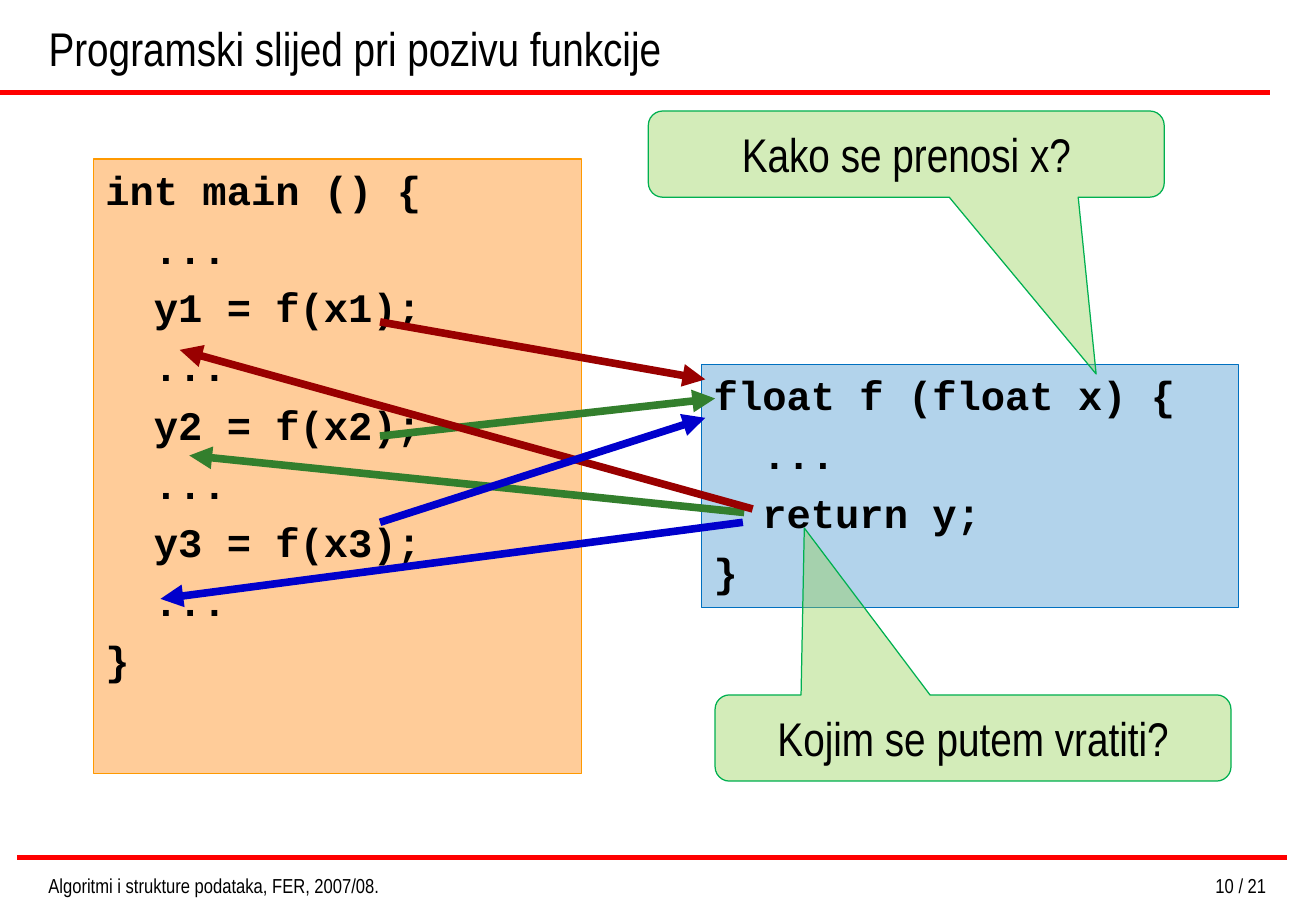
from dataclasses import dataclass

from lxml import etree
from pptx import Presentation
from pptx.dml.color import RGBColor
from pptx.enum.shapes import MSO_CONNECTOR, MSO_SHAPE
from pptx.enum.text import MSO_ANCHOR, MSO_AUTO_SIZE, PP_ALIGN
from pptx.oxml.ns import qn
from pptx.util import Pt

LEFT, CENTER, RIGHT = PP_ALIGN.LEFT, PP_ALIGN.CENTER, PP_ALIGN.RIGHT
TOP, MIDDLE, BOTTOM = MSO_ANCHOR.TOP, MSO_ANCHOR.MIDDLE, MSO_ANCHOR.BOTTOM
NO_FIT = MSO_AUTO_SIZE.NONE
STRAIGHT = MSO_CONNECTOR.STRAIGHT
RECT, CALLOUT = MSO_SHAPE.RECTANGLE, MSO_SHAPE.ROUNDED_RECTANGULAR_CALLOUT


@dataclass(frozen=True)
class Theme:
    sans: str = "Arial Narrow"
    mono: str = "Courier New"
    large: float = 28
    code: float = 24
    small: float = 12
    ink: str = "000000"
    rule: str = "FF0000"
    peach: str = "FFCC99"
    orange: str = "FF9900"
    sky: str = "0070C0"
    lime: str = "92D050"
    leaf: str = "00B050"
    first: str = "990000"
    second: str = "337F2D"
    third: str = "0000CC"


@dataclass(frozen=True)
class Panel:
    """A filled shape with text; box is left, top, width, height."""
    kind: MSO_SHAPE
    box: tuple[float, float, float, float]
    fill: str
    edge: str
    text: str
    alpha: int = 100
    tip: tuple[float, ...] = ()


@dataclass(frozen=True)
class Line:
    start: tuple[float, float]
    end: tuple[float, float]
    color: str
    width: float = 4.5
    head: bool = True


THEME = Theme()

MAIN = """int main () {
  ...
  y1 = f(x1);
  ...
  y2 = f(x2);
  ...
  y3 = f(x3);
  ...
}"""
FUNC = """float f (float x) {
  ...
  return y;
}"""

RULES = [
    Line((0, 54.7), (753.1, 54.7), THEME.rule, 3, False),
    Line((10.1, 508.3), (763.2, 508.3), THEME.rule, 3, False),
]
CODES = [
    Panel(RECT, (55.4, 94.3, 289.4, 364.3), THEME.peach, THEME.orange, MAIN),
    Panel(RECT, (416.2, 216, 318.2, 144), THEME.sky, THEME.sky, FUNC, 30),
]
ASKS = [
    Panel(CALLOUT, (384.5, 65.8, 306, 51.1), THEME.lime, THEME.leaf,
          "Kako se prenosi x?", 40, (0.368, 2.551, 0.167)),
    Panel(CALLOUT, (424.1, 411.9, 306, 51.1), THEME.lime, THEME.leaf,
          "Kojim se putem vratiti?", 40, (-0.327, -2.436, 0.167)),
]
ARROWS = [
    Line((225.4, 190.8), (418.3, 224.9), THEME.first),
    Line((441.4, 303.8), (112.3, 270), THEME.second),
    Line((440.6, 309.6), (95.2, 355), THEME.third),
    Line((225.4, 258.5), (424.1, 236.2), THEME.second),
    Line((446.4, 301.7), (106.6, 207.4), THEME.first),
    Line((225.4, 309.6), (418.3, 247.7), THEME.third),
]


def paint(hue: str) -> RGBColor:
    return RGBColor.from_string(hue)


def write(shape, text: str, *, size: float, font: str = THEME.sans,
          bold: bool = False, align=LEFT, anchor=TOP,
          gap: float = 0) -> None:
    """Fill a shape with one paragraph per line of text."""
    frame = shape.text_frame
    frame.word_wrap, frame.auto_size = True, NO_FIT
    frame.vertical_anchor = anchor
    frame.margin_left = frame.margin_right = Pt(7.2)
    frame.margin_top = frame.margin_bottom = Pt(3.6)
    for row, line in enumerate(text.split("\n")):
        para = frame.add_paragraph() if row else frame.paragraphs[0]
        para.alignment = align
        para.space_before = Pt(gap if row else 0)
        run = para.add_run()
        run.text = line
        run.font.name, run.font.size, run.font.bold = font, Pt(size), bold
        run.font.color.rgb = paint(THEME.ink)


def place(shape, box: tuple[float, float, float, float]) -> None:
    shape.left, shape.top, shape.width, shape.height = map(Pt, box)


def draw_panel(slide, panel: Panel):
    shape = slide.shapes.add_shape(panel.kind, *map(Pt, panel.box))
    shape.shadow.inherit = False
    for spot, value in enumerate(panel.tip):
        shape.adjustments[spot] = value
    shape.fill.solid()
    shape.fill.fore_color.rgb = paint(panel.fill)
    if panel.alpha < 100:
        tint = shape.fill._xPr.find(qn("a:solidFill"))[0]
        etree.SubElement(tint, qn("a:alpha"), val=str(panel.alpha * 1000))
    shape.line.color.rgb = paint(panel.edge)
    shape.line.width = Pt(0.75)
    return shape


def draw_line(slide, line: Line) -> None:
    link = slide.shapes.add_connector(
        STRAIGHT, *map(Pt, line.start + line.end))
    link.line.color.rgb = paint(line.color)
    link.line.width = Pt(line.width)
    if line.head:
        etree.SubElement(link.line._get_or_add_ln(), qn("a:tailEnd"),
                         type="triangle")
    etree.SubElement(link._element.spPr, qn("a:effectLst"))


def main() -> None:
    deck = Presentation()
    deck.slide_width, deck.slide_height = Pt(780.48), Pt(540)
    slide = deck.slides.add_slide(deck.slide_layouts[5])

    # Title and rules
    title = slide.shapes.title
    place(title, (21.6, 0, 731.5, 48.6))
    write(title, "Programski slijed pri pozivu funkcije",
          size=THEME.large, anchor=BOTTOM)
    for rule in RULES:
        draw_line(slide, rule)

    # Code, questions and the flow between them
    for panel in CODES:
        write(draw_panel(slide, panel), panel.text, size=THEME.code,
              font=THEME.mono, bold=True, gap=6)
    for arrow in ARROWS[:3]:
        draw_line(slide, arrow)
    for panel in ASKS:
        write(draw_panel(slide, panel), panel.text, size=THEME.large,
              align=CENTER, anchor=MIDDLE)
    for arrow in ARROWS[3:]:
        draw_line(slide, arrow)

    # Footer
    for text, left, width, align in (
        ("Algoritmi i strukture podataka, FER, 2007/08.", 21.6, 272.2, LEFT),
        ("10 / 21", 558.7, 199.4, RIGHT),
    ):
        note = slide.shapes.add_textbox(*map(Pt, (left, 514.1, width, 17.3)))
        write(note, text, size=THEME.small, align=align)

    deck.save("out.pptx")


if __name__ == "__main__":
    main()
